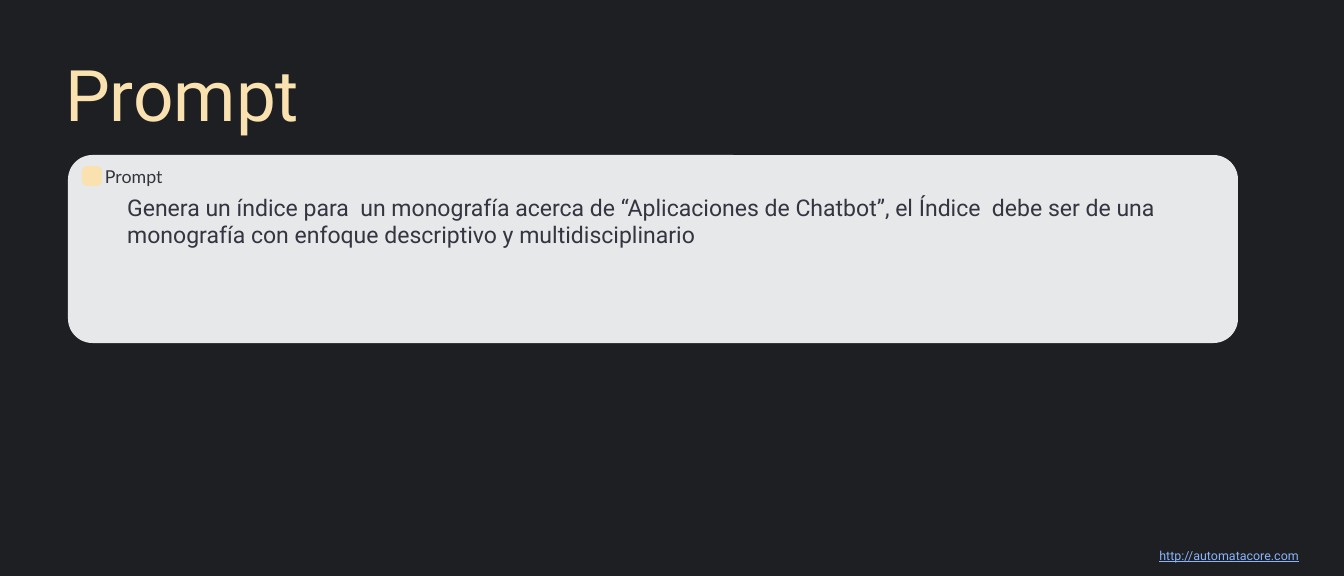
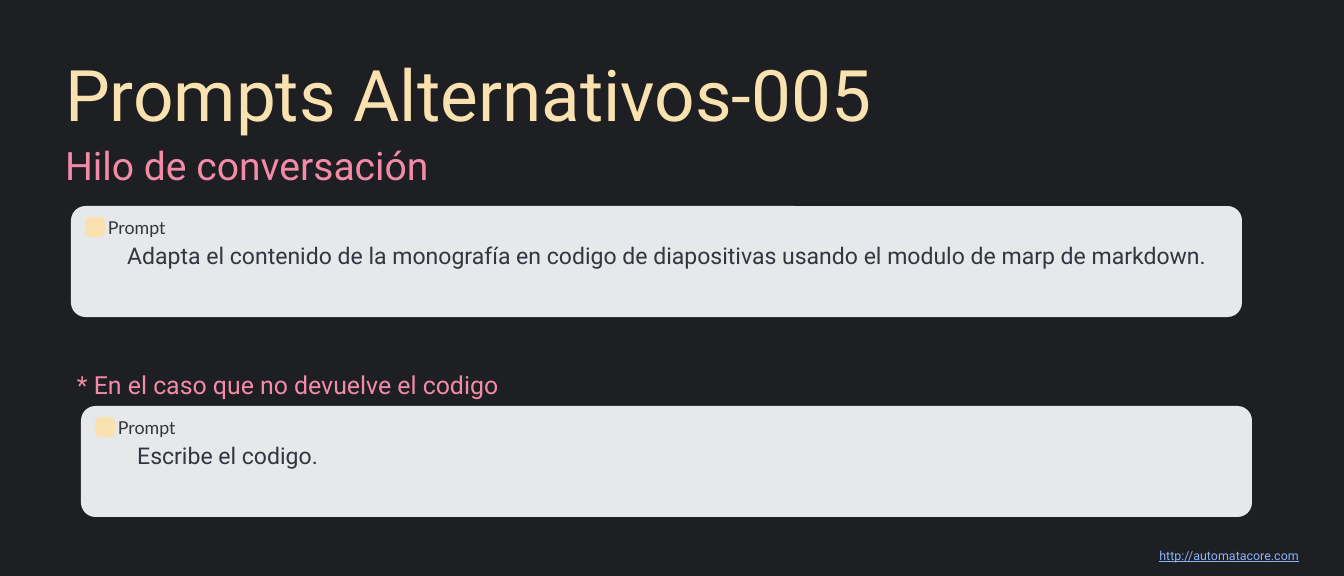
"""Builds two dark slides that show chatbot prompts on rounded cards."""
from pptx import Presentation
from pptx.dml.color import RGBColor
from pptx.enum.shapes import MSO_SHAPE
from pptx.enum.text import MSO_ANCHOR, PP_ALIGN
from pptx.util import Emu, Pt

SLIDES = [
    {
        "title": "Prompt",
        "headings": [],
        "cards": [
            ((68, 155, 1170, 188),
             "Genera un índice para  un monografía acerca de “Aplicaciones de Chatbot”, "
             "el Índice  debe ser de una monografía con enfoque descriptivo y multidisciplinario"),
        ],
    },
    {
        "title": "Prompts Alternativos-005",
        "headings": [
            ((59, 138, 1226, 54), "Hilo de conversación", 44),
            ((71, 367, 1171, 36), "* En el caso que no devuelve el codigo", 28),
        ],
        "cards": [
            ((71, 206, 1171, 111),
             "Adapta el contenido de la monografía en codigo de diapositivas "
             "usando el modulo de marp de markdown."),
            ((81, 406, 1171, 111), "Escribe el codigo."),
        ],
    },
]
SITE = "http://automatacore.com"
CARD_LABEL = "Prompt"

NIGHT, CARD, CREAM, PINK, BLUE = "1E1F22", "E7E8EA", "F9E2AF", "F38BA8", "89B4FA"
PROMPT_INK, LABEL_INK = "343541", "33353A"
TITLE_BOX = (59, 47, 1226, 93)
SITE_BOX = (38, 545, 1267, 22)


def px(length):
    return Emu(round(length * 914400 / 64))


def color(value):
    return RGBColor.from_string(value)


def write(shape, text, size, ink, font="Roboto", align=PP_ALIGN.LEFT, insets=(6, 3)):
    frame = shape.text_frame
    frame.word_wrap = True
    frame.vertical_anchor = MSO_ANCHOR.TOP
    frame.margin_left, frame.margin_top = map(px, insets)
    frame.margin_right, frame.margin_bottom = px(6), px(3)
    frame.text = text
    line = frame.paragraphs[0]
    line.alignment = align
    line.font.name = font
    line.font.size = Pt(size)
    line.font.color.rgb = color(ink)
    return line


def add_text(shapes, box, *style, **options):
    return write(shapes.add_textbox(*map(px, box)), *style, **options)


def add_rounded(shapes, box, fill, rounding):
    rounded = shapes.add_shape(MSO_SHAPE.ROUNDED_RECTANGLE, *map(px, box))
    rounded.adjustments[0] = rounding
    rounded.shadow.inherit = False
    rounded.fill.solid()
    rounded.fill.fore_color.rgb = color(fill)
    rounded.line.fill.background()
    return rounded


def add_card(slide, box, prompt):
    left, top = box[:2]
    parts = slide.shapes.add_group_shape().shapes
    card = add_rounded(parts, box, CARD, 0.13)
    write(card, prompt, 25.9, PROMPT_INK, insets=(52, 31))
    add_rounded(parts, (left + 14, top + 11, 20, 20), CREAM, 0.25)
    add_text(parts, (left + 31, top + 8, 108, 28), CARD_LABEL, 20, LABEL_INK, font="Lato")


def add_slide(deck, content):
    slide = deck.slides.add_slide(deck.slide_layouts[5])
    title = slide.shapes.title
    title.left, title.top, title.width, title.height = map(px, TITLE_BOX)
    write(title, content["title"], 80, CREAM)
    site = add_text(slide.shapes, SITE_BOX, SITE, 14, BLUE, align=PP_ALIGN.RIGHT)
    site.font.underline = True
    for box, text, size in content["headings"]:
        add_text(slide.shapes, box, text, size, PINK)
    for box, prompt in content["cards"]:
        add_card(slide, box, prompt)


def main():
    deck = Presentation()
    deck.slide_width, deck.slide_height = px(1344), px(576)
    backdrop = deck.slide_master.background.fill
    backdrop.solid()
    backdrop.fore_color.rgb = color(NIGHT)
    for content in SLIDES:
        add_slide(deck, content)
    deck.save("out.pptx")


if __name__ == "__main__":
    main()
